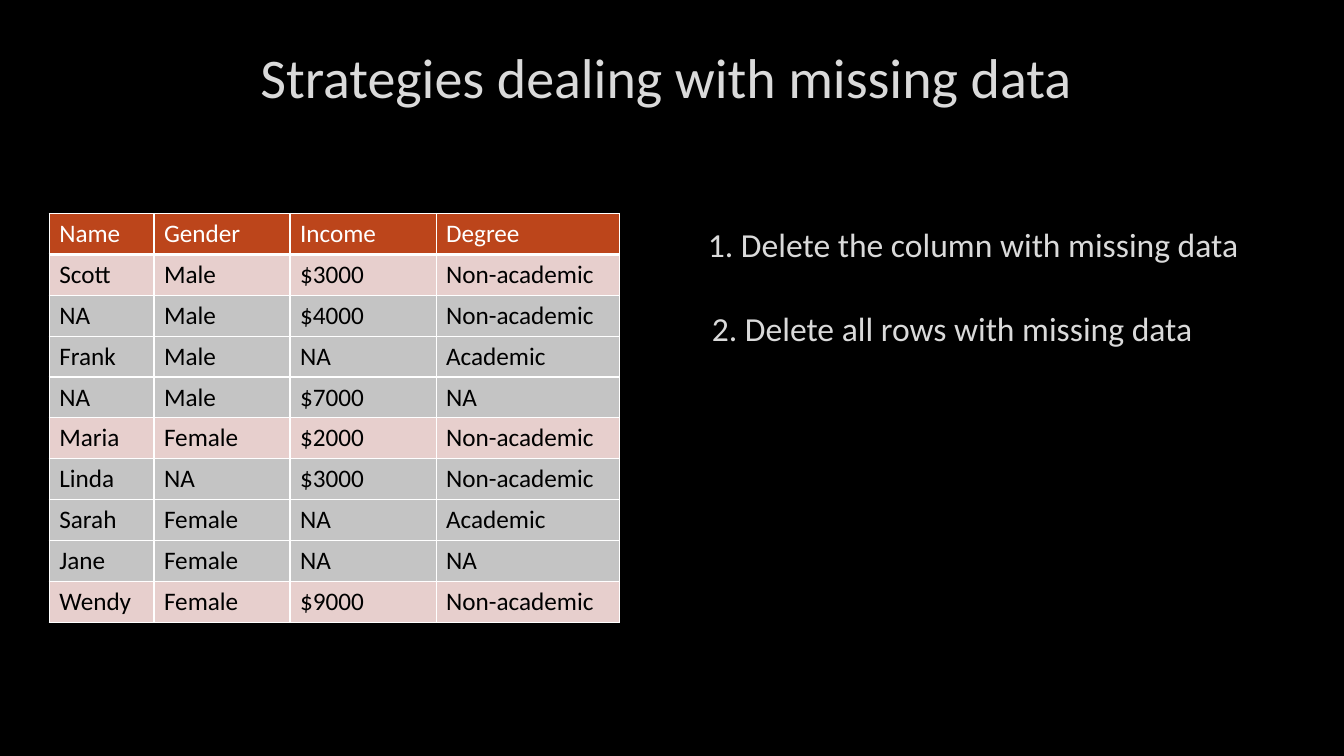
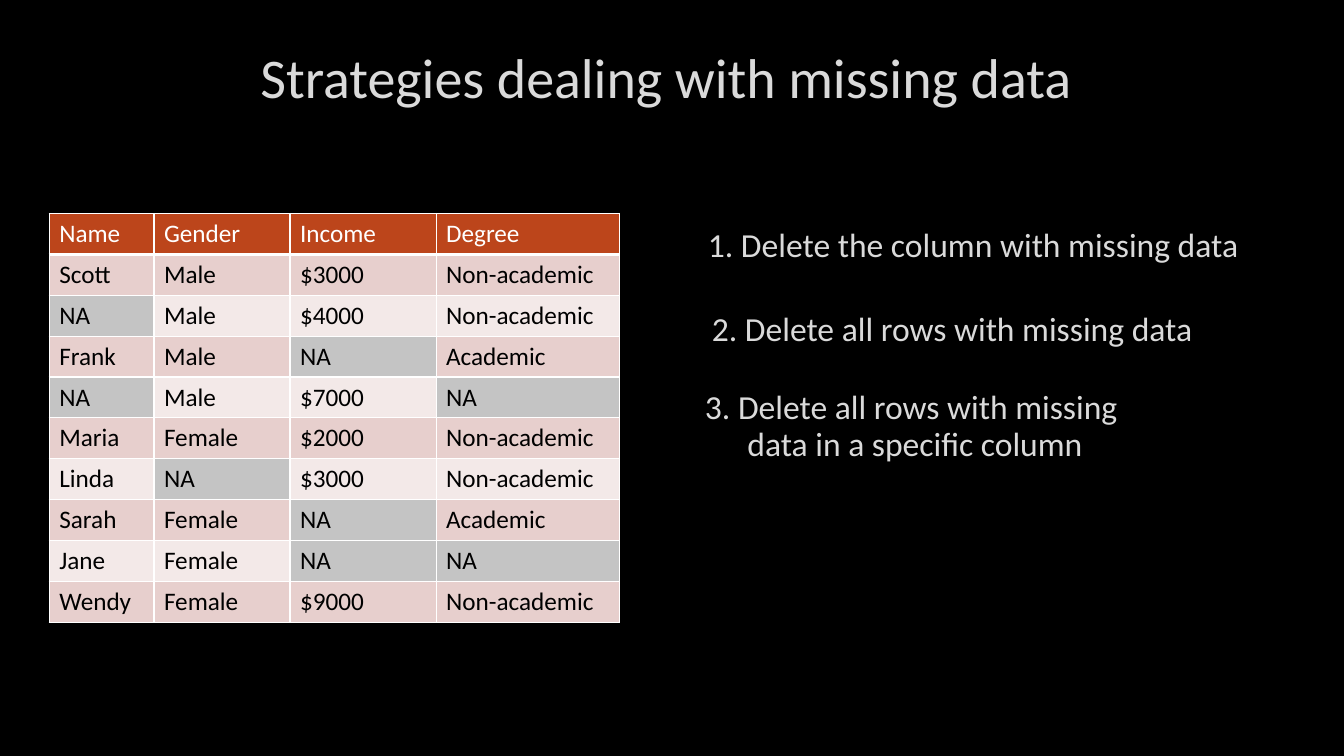
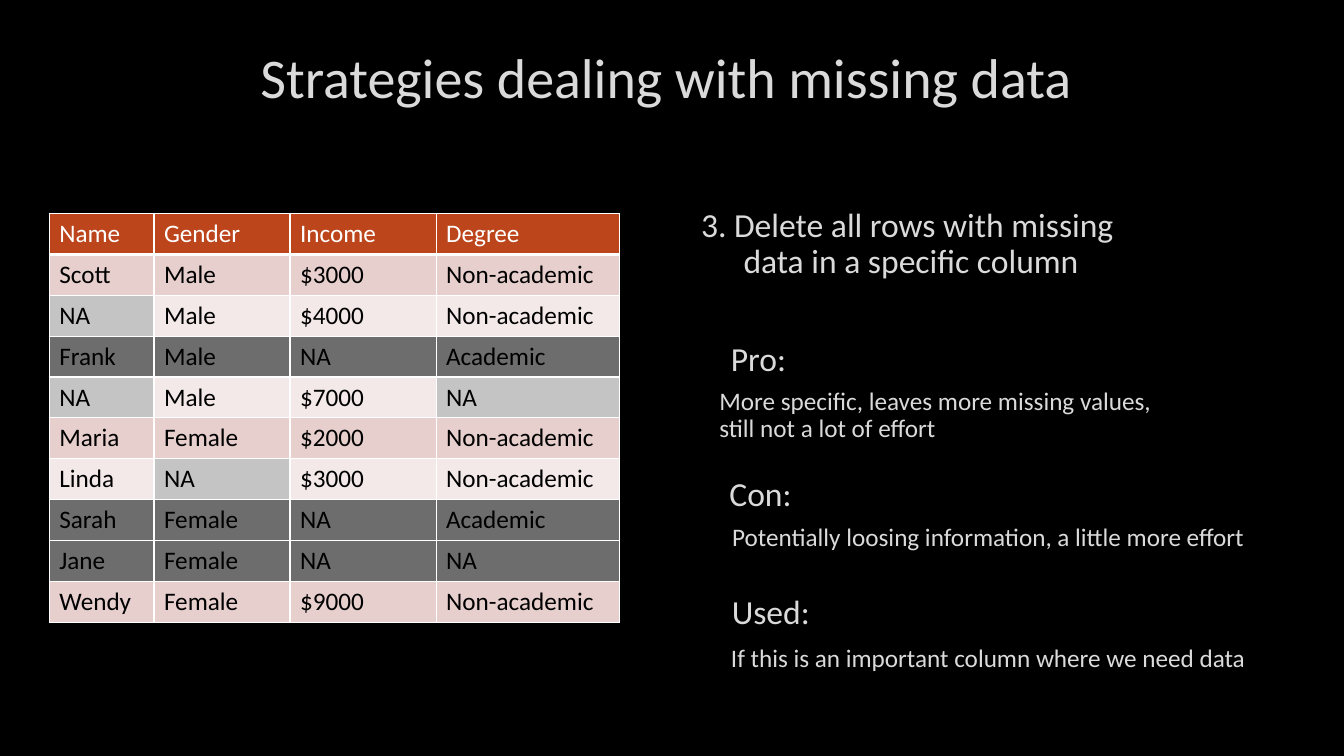
import dataclasses

import pptx
import pptx.dml.color
import pptx.enum.text
import pptx.oxml
import pptx.oxml.ns
import pptx.util

Cm = pptx.util.Cm
Pt = pptx.util.Pt
ALIGN = pptx.enum.text.PP_ALIGN
ANCHOR = pptx.enum.text.MSO_ANCHOR


@dataclasses.dataclass(frozen=True)
class Theme:
    font: str = "Calibri"
    back: str = "000000"
    text: str = "DADADA"
    edge: str = "404040"
    head: str = "BC451B"
    rule: str = "FFFFFF"
    ink: str = "000000"
    bands: tuple = ("E7CFCD", "F3E9E8")
    gap: str = "C4C4C4"
    drop: str = "6D6D6D"
    title: int = 40
    point: int = 24
    small: int = 18


HEAD = ("Name", "Gender", "Income", "Degree")
PEOPLE = (
    ("Scott", "Male", "$3000", "Non-academic"),
    ("NA", "Male", "$4000", "Non-academic"),
    ("Frank", "Male", "NA", "Academic"),
    ("NA", "Male", "$7000", "NA"),
    ("Maria", "Female", "$2000", "Non-academic"),
    ("Linda", "NA", "$3000", "Non-academic"),
    ("Sarah", "Female", "NA", "Academic"),
    ("Jane", "Female", "NA", "NA"),
    ("Wendy", "Female", "$9000", "Non-academic"),
)
WIDTHS = (2.64, 3.43, 3.68, 4.62)
ROW = 1.03


def rgb(code):
    return pptx.dml.color.RGBColor.from_string(code)


def line(tag, color, width, alpha=100):
    """Make a line element such as a:ln or a:lnB."""
    return pptx.oxml.parse_xml(
        f'<a:{tag} {pptx.oxml.ns.nsdecls("a")} w="{Pt(width)}"><a:solidFill>'
        f'<a:srgbClr val="{color}"><a:alpha val="{alpha * 1000}"/></a:srgbClr>'
        f'</a:solidFill></a:{tag}>')


class Deck:
    def __init__(self, theme):
        self.theme = theme
        self.file = pptx.Presentation()
        self.file.slide_width = Cm(33.87)
        self.file.slide_height = Cm(19.05)
        self.slide = None

    def page(self, title):
        self.slide = self.file.slides.add_slide(self.file.slide_layouts[6])
        fill = self.slide.background.fill
        fill.solid()
        fill.fore_color.rgb = rgb(self.theme.back)
        self.text(title, 2.57, 0.58, 28.75, 2.69, self.theme.title)

    def style(self, part, size, color):
        for run in part.runs:
            run.font.name = self.theme.font
            run.font.size = Pt(size)
            run.font.color.rgb = rgb(color)

    def text(self, words, left, top, width, height, size, align=ALIGN.CENTER):
        box = self.slide.shapes.add_textbox(Cm(left), Cm(top), Cm(width), Cm(height))
        frame = box.text_frame
        frame.word_wrap = True
        frame.vertical_anchor = ANCHOR.MIDDLE
        frame.text = words
        for part in frame.paragraphs:
            part.alignment = align
            if len(frame.paragraphs) > 1:
                part.line_spacing = 0.9
            self.style(part, size, self.theme.text)
            for run in part.runs:
                props = run.font._element
                props.insert(0, line("ln", self.theme.edge, 0.75, 10))

    def point(self, words, left, top):
        self.text(words, left, top, 17.81, 1.7, self.theme.point)

    def detail(self, words, left, top, align=ALIGN.CENTER):
        self.text(words, left, top, 17.81, 1.7, self.theme.small, align)

    def third(self, left, top):
        self.text("3. Delete all rows with missing \ndata in a specific column",
                  left, top, 18.34, 2.16, self.theme.point)

    def cell(self, cell, words, fill, color, base=1):
        cell.text = words
        self.style(cell.text_frame.paragraphs[0], self.theme.small, color)
        props = cell._tc.get_or_add_tcPr()
        for tag, width in (("lnL", 1), ("lnR", 1), ("lnT", 1), ("lnB", base)):
            props.append(line(tag, self.theme.rule, width))
        cell.fill.solid()
        cell.fill.fore_color.rgb = rgb(fill)

    def table(self, shade):
        """Draw the people; shade(row, value) gives a fill or None for the band."""
        rows = len(PEOPLE) + 1
        grid = self.slide.shapes.add_table(
            rows, len(HEAD), Cm(1.24), Cm(5.38), Cm(sum(WIDTHS)), Cm(ROW * rows)).table
        for col, width in zip(grid.columns, WIDTHS):
            col.width = Cm(width)
        for row in grid.rows:
            row.height = Cm(ROW)
        for x, name in enumerate(HEAD):
            self.cell(grid.cell(0, x), name, self.theme.head, self.theme.rule, 3)
        for y, row in enumerate(PEOPLE):
            for x, value in enumerate(row):
                fill = shade(row, value) or self.theme.bands[y % 2]
                self.cell(grid.cell(y + 1, x), value, fill, self.theme.ink)


def main():
    theme = Theme()
    deck = Deck(theme)
    title = "Strategies dealing with missing data "

    def rows(row, value):
        return theme.gap if "NA" in row else None

    def cells(row, value):
        return theme.gap if value == "NA" else None

    def income(row, value):
        lost = row[HEAD.index("Income")] == "NA"
        return theme.drop if lost else cells(row, value)

    for shade in (rows, cells):
        deck.page(title)
        deck.point("1. Delete the column with missing data", 15.62, 5.31)
        deck.point("2. Delete all rows with missing data", 15.09, 7.42)
        if shade is cells:
            deck.third(13.89, 9.68)
        deck.table(shade)

    deck.page(title)
    deck.third(13.79, 5.08)
    deck.table(income)
    deck.point("Pro:", 10.21, 8.18)
    deck.point("Con:", 10.26, 11.58)
    deck.point("Used:", 10.52, 14.55)
    deck.detail("More specific, leaves more missing values,\nstill not a lot of effort",
                17.88, 9.63, ALIGN.LEFT)
    deck.detail("Potentially loosing information, a little more effort", 16, 12.67)
    deck.detail("If this is an important column where we need data", 16, 15.72)
    deck.file.save("out.pptx")


if __name__ == "__main__":
    main()
